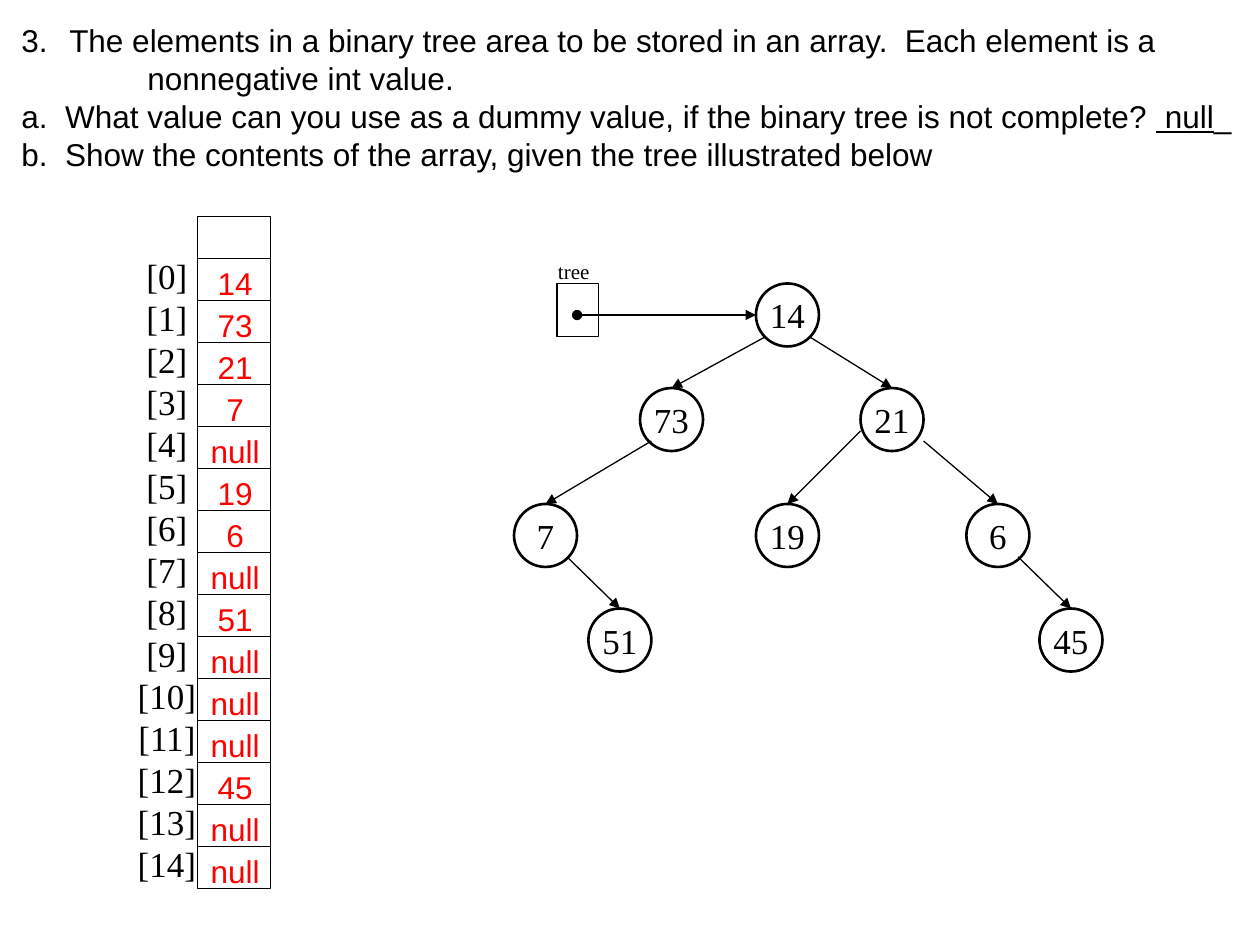
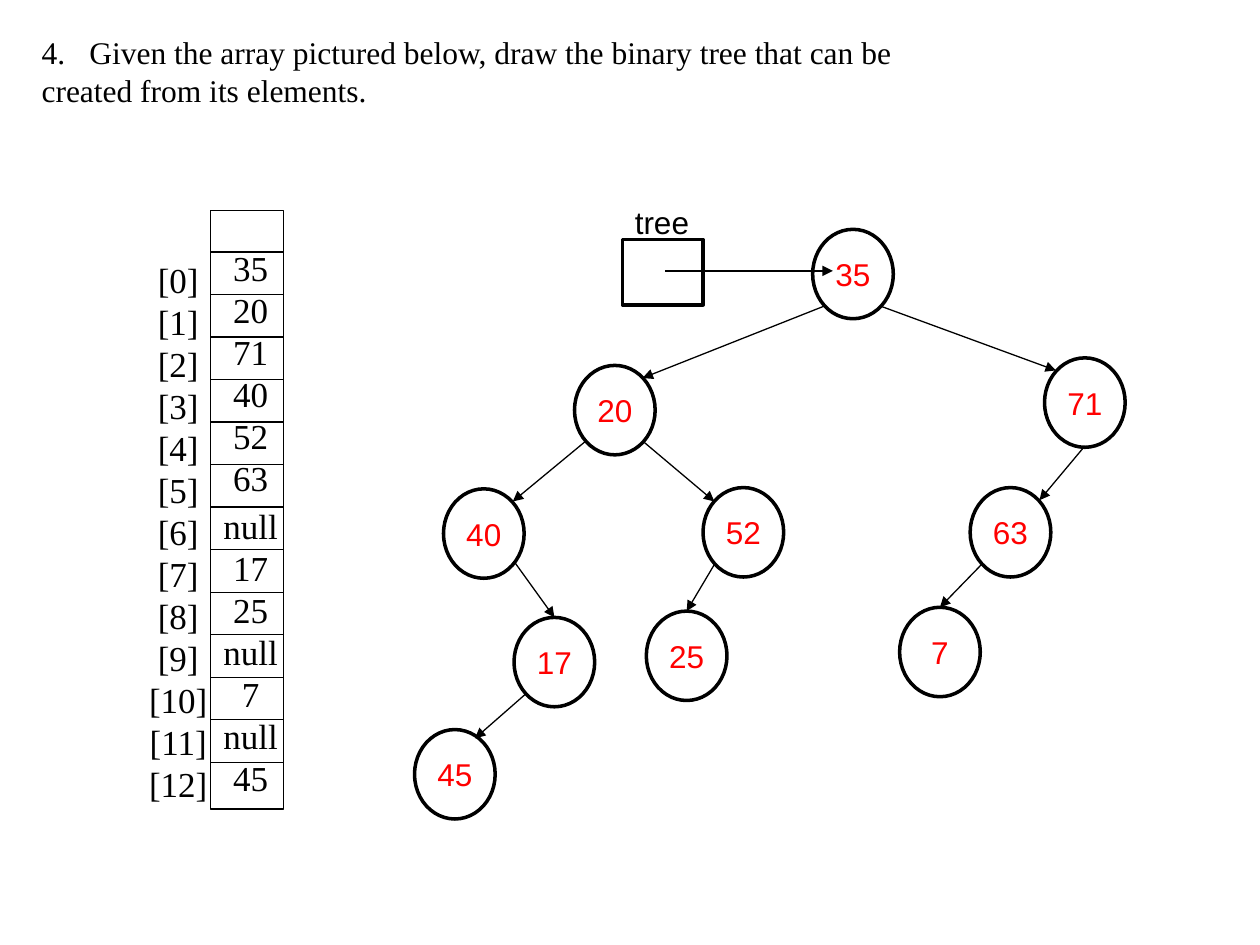
"""Build two slides of exercises on binary trees stored in arrays."""
import pptx
import pptx.dml.color
import pptx.enum.shapes
import pptx.enum.text
import pptx.oxml
import pptx.oxml.ns
import pptx.util

Inches = pptx.util.Inches
Pt = pptx.util.Pt
Shape = pptx.enum.shapes.MSO_SHAPE
Align = pptx.enum.text.PP_ALIGN
Anchor = pptx.enum.text.MSO_ANCHOR
HUES = {"ink": "000000", "answer": "FF0000"}
SANS, SERIF = "Arial", "Times New Roman"


def tint(name):
    return pptx.dml.color.RGBColor.from_string(HUES[name])


def node(tag, **attrs):
    item = pptx.oxml.parse_xml(f"<a:{tag} {pptx.oxml.ns.nsdecls('a')}/>")
    for key, value in attrs.items():
        item.set(key, str(value))
    return item


def write(par, text, size=18, face=SANS, hue="ink", align=Align.LEFT, under=False):
    par.alignment = align
    par.line_spacing = Pt(1.2 * size)
    run = par.add_run()
    run.text = text
    run.font.size, run.font.name = Pt(size), face
    run.font.color.rgb = tint(hue)
    run.font.underline = under


def indent(par, left, first=-0.38, start=None):
    props = par._p.get_or_add_pPr()
    props.set("marL", str(Inches(left)))
    props.set("indent", str(Inches(first)))
    if start:
        props.append(node("buFont", typeface="+mj-lt"))
        props.append(node("buAutoNum", type="arabicPeriod", startAt=start))


class Sheet:
    def __init__(self, deck, face, hue, size, weight):
        self.slide = deck.slides.add_slide(deck.slide_layouts[5])
        self.look = dict(face=face, hue=hue, size=size, align=Align.CENTER)
        self.weight = weight

    def fill(self, frame, lines, anchor=Anchor.TOP, **look):
        frame.word_wrap = False
        frame.auto_size = pptx.enum.text.MSO_AUTO_SIZE.NONE
        frame.vertical_anchor = anchor
        for i, line in enumerate(lines):
            par = frame.add_paragraph() if i else frame.paragraphs[0]
            write(par, line, **look)
        return frame.paragraphs

    def prompt(self, box, lines, face):
        title = self.slide.shapes.title
        title.left, title.top, title.width, title.height = map(Inches, box)
        return self.fill(title.text_frame, lines, face=face)

    def text(self, box, lines, **look):
        label = self.slide.shapes.add_textbox(*map(Inches, box))
        return self.fill(label.text_frame, lines, **look)

    def shape(self, kind, box, weight):
        item = self.slide.shapes.add_shape(kind, *map(Inches, box))
        item.shadow.inherit = False
        item.fill.background()
        item.line.color.rgb = tint("ink")
        item.line.width = Pt(weight)
        return item

    def line(self, ends, head=None, tail=None):
        kind = pptx.enum.shapes.MSO_CONNECTOR.STRAIGHT
        item = self.slide.shapes.add_connector(kind, *map(Inches, ends))
        item.line.color.rgb = tint("ink")
        item.line.width = Pt(0.75)
        item._element.spPr.append(node("effectLst"))
        stroke = item.line._get_or_add_ln()
        for tag, kind in (("headEnd", head), ("tailEnd", tail)):
            if kind:
                stroke.append(node(tag, type=kind))

    def array(self, box, first, step, count, label):
        left, _, width, _ = box
        self.shape(Shape.RECTANGLE, box, 0.75)
        for row in range(count):
            y = first + row * step
            self.line((left, y, left + width, y))
        names = [f"[{i}]" for i in range(count)]
        self.text(label, names, size=20, face=SERIF, align=Align.CENTER)

    def tree(self, nodes, size, links):
        for word, x, y in nodes:
            item = self.shape(Shape.OVAL, (x, y, *size), self.weight)
            self.fill(item.text_frame, [word], Anchor.MIDDLE, **self.look)
        for ends in links:
            self.line(ends, tail="triangle")


def store(deck):
    sheet = Sheet(deck, SERIF, "ink", 20, 1.5)
    pars = sheet.prompt((0.07, 0.12, 9.89, 1.31), [
        "The elements in a binary tree area to be stored in an array.  Each element is a",
        "nonnegative int value.",
        "a.  What value can you use as a dummy value, if the binary tree is not complete? ",
        "b.  Show the contents of the array, given the tree illustrated below",
    ], SANS)
    for par, left, start in zip(pars, (0.38, 1.38, 0.38, 0.38), (3, None, None, None)):
        indent(par, left, start=start)
    write(pars[2], " null", under=True)
    write(pars[2], "_")
    sheet.tree([
        ("14", 6, 2.25), ("73", 5.08, 3.08), ("21", 6.83, 3.08), ("7", 4.08, 4),
        ("51", 4.67, 4.83), ("19", 6, 4), ("6", 7.67, 4), ("45", 8.25, 4.83),
    ], (0.5, 0.5), [
        (6.08, 2.67, 5.33, 3.08), (6.42, 2.67, 7.08, 3.08),
        (5.17, 3.5, 4.33, 4), (6.83, 3.42, 6.25, 4), (4.5, 4.42, 4.92, 4.83),
        (7.33, 3.5, 7.92, 4), (8.08, 4.42, 8.5, 4.83),
    ])
    sheet.shape(Shape.RECTANGLE, (4.42, 2.25, 0.33, 0.42), 0.75)
    sheet.line((4.58, 2.5, 6, 2.5), "oval", "triangle")
    sheet.text((4.33, 2, 0.45, 0.3), ["tree"], size=12, face=SERIF)
    values = "14 73 21 7 null 19 6 null 51 null null null 45 null null".split()
    step = 1 / 3
    sheet.array((1.57, 1.72, 0.58, 5.33), 2.05, step, len(values), (0.99, 1.97, 0.67, 5.15))
    for row, value in enumerate(values):
        box = (1.57, 2.05 + row * step, 0.59, 0.4)
        sheet.text(box, [value], hue="answer", align=Align.CENTER)


def draw(deck):
    sheet = Sheet(deck, SANS, "answer", 18, 2)
    pars = sheet.prompt((0.23, 0.21, 7.02, 0.71), [
        "Given the array pictured below, draw the binary tree that can be",
        "created from its elements.",
    ], SERIF)
    indent(pars[0], 0.38, start=4)
    values = "35 20 71 40 52 63 null 17 25 null 7 null 45".split()
    sheet.array((1.67, 1.67, 0.58, 4.75), 2, 0.3375, len(values), (1.08, 2, 0.67, 4.48))
    cells = sheet.text((1.67, 1.91, 0.64, 4.48), values, size=20, face=SERIF,
                       align=Align.CENTER)
    cells[6].space_before = Pt(3)
    sheet.text((4.94, 1.56, 0.64, 0.4), ["tree"])
    sheet.shape(Shape.RECTANGLE, (4.94, 1.9, 0.64, 0.52), 2)
    sheet.tree([
        ("35", 6.45, 1.82), ("20", 4.56, 2.9), ("71", 8.29, 2.84),
        ("40", 3.52, 3.88), ("52", 5.58, 3.87), ("63", 7.7, 3.87),
        ("17", 4.08, 4.9), ("25", 5.13, 4.85), ("7", 7.14, 4.82), ("45", 3.29, 5.79),
    ], (0.64, 0.71), [
        (5.28, 2.15, 6.61, 2.15), (6.54, 2.43, 5.1, 3), (6.99, 2.43, 8.38, 2.94),
        (4.65, 3.5, 4.07, 3.98), (5.1, 3.5, 5.67, 3.98), (8.61, 3.54, 8.25, 3.97),
        (4.09, 4.47, 4.4, 4.9), (5.67, 4.48, 5.45, 4.85), (7.8, 4.47, 7.46, 4.82),
        (4.17, 5.51, 3.77, 5.86),
    ])


deck = pptx.Presentation()
deck.slide_width, deck.slide_height = Inches(10), Inches(7.5)
store(deck)
draw(deck)
deck.save("out.pptx")
